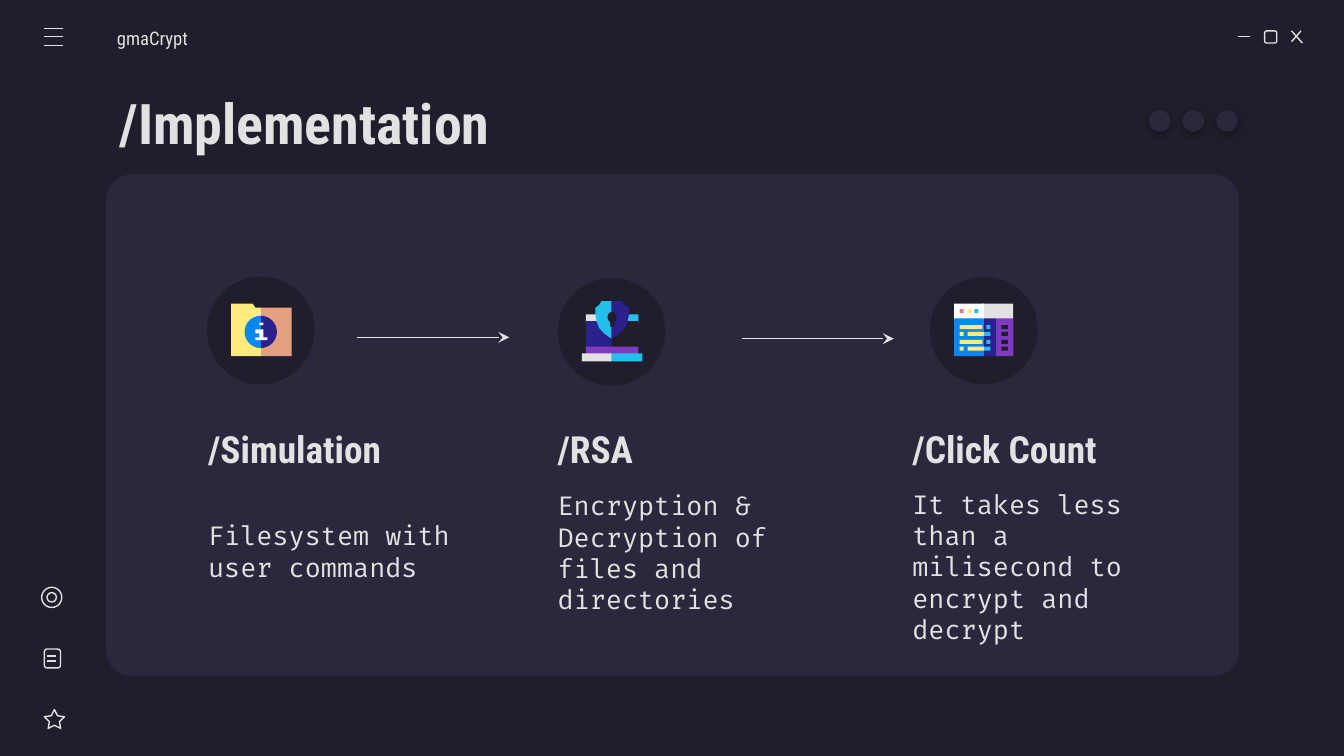
from math import cos, pi, sin

from lxml import etree
from pptx import Presentation
from pptx.dml.color import RGBColor
from pptx.enum.shapes import MSO_CONNECTOR, MSO_SHAPE
from pptx.enum.text import MSO_ANCHOR, MSO_AUTO_SIZE, PP_ALIGN
from pptx.oxml.ns import qn
from pptx.util import Inches, Pt

LINE = MSO_CONNECTOR.STRAIGHT
OVAL, PIE, STAR = MSO_SHAPE.OVAL, MSO_SHAPE.PIE, MSO_SHAPE.STAR_5_POINT
RECT, ROUND = MSO_SHAPE.RECTANGLE, MSO_SHAPE.ROUNDED_RECTANGLE
MID, LEFT, FIXED = MSO_ANCHOR.MIDDLE, PP_ALIGN.LEFT, MSO_AUTO_SIZE.NONE

DARK, PANEL, PALE, WHITE = "1E1E2C", "29283D", "E2E2E2", "FFFFFF"
CYAN, BLUE, NAVY, PURPLE = "24BFEB", "0887F2", "2B218D", "7E3BBE"
YELLOW, PEACH, ROSE = "FFEA7D", "E5A083", "E07A88"
HEAD, CODE = "Roboto Condensed", "Fira Code"

# Wide 16:9 slide
prs = Presentation()
prs.slide_width, prs.slide_height = Inches(10), Inches(10 * 9 / 16)
slide = prs.slides.add_slide(prs.slide_layouts[0])
shapes = slide.shapes
slide.background.fill.solid()
slide.background.fill.fore_color.rgb = RGBColor.from_string(DARK)


def paint(item, fill=None, line=None):
    item.shadow.inherit = False
    if fill:
        item.fill.solid()
        item.fill.fore_color.rgb = RGBColor.from_string(fill)
    else:
        item.fill.background()
    if line:
        item.line.color.rgb = RGBColor.from_string(line)
        item.line.width = Pt(0.75)
    else:
        item.line.fill.background()


def add(kind, box, fill=None, line=None, adj=()):
    item = shapes.add_shape(kind, *[Inches(v) for v in box])
    paint(item, fill, line)
    for i, value in enumerate(adj):
        item.adjustments[i] = value
    return item


# Panel and icon discs
add(ROUND, (0.79, 1.3, 8.43, 3.73), PANEL, adj=[0.05])
for x, y in [(1.54, 2.06), (4.15, 2.07), (6.92, 2.06)]:
    add(OVAL, (x, y, 0.8, 0.8), DARK)
    add(PIE, (x, y, 0.81, 0.81), DARK, adj=[32.63, 97.2]).rotation = 180

# Outline icons: window button, star, note, target
add(ROUND, (9.41, 0.23, 0.09, 0.09), line=PALE)
add(STAR, (0.33, 5.28, 0.15, 0.14), line=PALE, adj=[0.25, 1.05, 1.11])
add(ROUND, (0.33, 4.83, 0.12, 0.14), line=PALE)
add(OVAL, (0.31, 4.37, 0.15, 0.15), line=PALE)
add(OVAL, (0.35, 4.41, 0.07, 0.07), line=PALE)

# Window buttons, menu and note strokes, then the two arrows
strokes = [(9.21, 0.27, 9.3, 0.27), (9.61, 0.23, 9.69, 0.32), (9.68, 0.23, 9.61, 0.31)]
strokes += [(0.33, y, 0.47, y) for y in (0.21, 0.27, 0.34)]
strokes += [(0.35, y, 0.42, y) for y in (4.88, 4.92)]
arrows = [(2.66, 2.51, 3.79, 2.51), (5.52, 2.52, 6.65, 2.52)]
for ends in strokes + arrows:
    link = shapes.add_connector(LINE, *[Inches(v) for v in ends])
    link.line.color.rgb = RGBColor.from_string(PALE)
    link.line.width = Pt(0.75)
    props = link._element.spPr
    if ends in arrows:
        etree.SubElement(props.find(qn("a:ln")), qn("a:tailEnd"), type="stealth")
    etree.SubElement(props, qn("a:effectLst"))

# Laptop and browser blocks: fill, left, top, right, bottom
blocks = [
    (CYAN, 4.54, 2.34, 4.75, 2.41), (PALE, 4.36, 2.34, 4.55, 2.41),
    (DARK, 4.54, 2.39, 4.75, 2.6), (NAVY, 4.36, 2.39, 4.55, 2.6),
    (PURPLE, 4.54, 2.58, 4.75, 2.65), (PURPLE, 4.36, 2.58, 4.55, 2.65),
    (CYAN, 4.54, 2.63, 4.78, 2.69), (PALE, 4.33, 2.63, 4.55, 2.69),
    (PURPLE, 7.39, 2.36, 7.54, 2.65), (NAVY, 7.31, 2.36, 7.41, 2.65),
    (BLUE, 7.1, 2.36, 7.32, 2.65),
    (PALE, 7.31, 2.26, 7.54, 2.37), (WHITE, 7.1, 2.26, 7.32, 2.37),
]
for x, hue in [(7.14, ROSE), (7.2, YELLOW), (7.25, CYAN)]:
    blocks.append((hue, x, 2.3, x + 0.03, 2.33))
long_row = [(YELLOW, 7.14, 7.31), (CYAN, 7.34, 7.37)]
split_row = [(YELLOW, 7.14, 7.17), (YELLOW, 7.2, 7.32), (CYAN, 7.32, 7.37)]
for i, y in enumerate([2.42, 2.47, 2.53, 2.58]):
    row = split_row if i % 2 else long_row
    for hue, x, end in row + [(DARK, 7.45, 7.5)]:
        blocks.append((hue, x, y, end, y + 0.03))
for hue, x, y, end, base in blocks:
    add(RECT, (x, y, end - x, base - y), hue)

# Shield and folder outlines
arc = [(0.12 * sin(pi * i / 16), -0.12 * cos(pi * i / 16)) for i in range(17)]
rim = [(0, 0.28), (0.06, 0.24), (0.1, 0.2), (0.12, 0.15), (0.13, 0.1),
       (0.13, 0.05), (0.1, 0.03), (0.08, 0), (0, 0)]
outlines = [
    (NAVY, [(4.55 + x, 2.24 + y) for x, y in rim]),
    (CYAN, [(4.55 - 0.92 * x, 2.24 + y) for x, y in rim]),
    (PEACH, [(1.94, 2.29), (1.92, 2.47), (1.94, 2.65), (2.17, 2.65), (2.17, 2.29)]),
    (YELLOW, [(1.72, 2.26), (1.72, 2.65), (1.94, 2.65), (1.94, 2.29),
              (1.9, 2.29), (1.88, 2.26)]),
    (NAVY, [(1.94 + x, 2.47 + y) for x, y in arc]),
    (BLUE, [(1.94 - x, 2.47 + y) for x, y in arc]),
    (WHITE, [(1.9, 2.45), (1.9, 2.48), (1.93, 2.48), (1.93, 2.51), (1.9, 2.51),
             (1.9, 2.53), (1.99, 2.53), (1.99, 2.51), (1.96, 2.51), (1.96, 2.45)]),
]
for hue, points in outlines:
    spots = [(Inches(x), Inches(y)) for x, y in points]
    pen = shapes.build_freeform(*spots[0])
    pen.add_line_segments(spots[1:], close=True)
    paint(pen.convert_to_shape(), hue)

# Keyhole and the dot of the i
add(OVAL, (4.52, 2.32, 0.07, 0.08), DARK)
add(RECT, (4.54, 2.38, 0.03, 0.05), DARK)
add(RECT, (1.93, 2.4, 0.03, 0.02), WHITE)

# Three dots with a soft shadow
for x in (8.55, 8.8, 9.05):
    dot = add(OVAL, (x, 0.82, 0.16, 0.16), PANEL)
    glow = etree.SubElement(
        dot._element.spPr.find(qn("a:effectLst")), qn("a:outerShdw"),
        blurRad=str(Pt(4.5)), dist=str(Pt(1.5)), dir="5400000",
        algn="bl", rotWithShape="0")
    tint = etree.SubElement(glow, qn("a:srgbClr"), val="000000")
    etree.SubElement(tint, qn("a:alpha"), val="30000")

# Texts: holder, words, box, size, font, bold, line spacing
title, brand = slide.placeholders
texts = [
    (title, "/Implementation", (0.79, 0.59, 7.88, 0.63), 30, HEAD, True, 1),
    (brand, "gmaCrypt", (0.87, 0.12, 1.17, 0.3), 10, HEAD, False, 1.15),
]
steps = [
    (1.45, "/Simulation", "Filesystem with user commands", 3.67, 2.02, 0.86),
    (4.05, "/RSA", "Encryption & Decryption of files and directories", 3.68, 2.02, 0.86),
    (6.69, "/Click Count", "It takes less than a milisecond to encrypt and decrypt",
     3.63, 1.85, 1.17),
]
for x, name, note, y, w, h in steps:
    texts.append((None, name, (x, 3.09, 2.02, 0.5), 20, HEAD, True, 1))
    texts.append((None, note, (x, y, w, h), 14, CODE, False, 1))

edge = Inches(0.1)
frame_style = {"word_wrap": True, "auto_size": FIXED, "vertical_anchor": MID,
               "margin_left": edge, "margin_right": edge,
               "margin_top": edge, "margin_bottom": edge}
for holder, words, box, size, font, bold, gap in texts:
    box = [Inches(v) for v in box]
    if holder is None:
        holder = shapes.add_textbox(*box)
    holder.left, holder.top, holder.width, holder.height = box
    frame = holder.text_frame
    frame.text = words
    para = frame.paragraphs[0]
    para_style = {"alignment": LEFT, "line_spacing": gap, "space_before": Pt(0)}
    font_style = {"size": Pt(size), "name": font, "bold": bold}
    for target, style in [(frame, frame_style), (para, para_style),
                          (para.runs[0].font, font_style)]:
        for key, value in style.items():
            setattr(target, key, value)
    para.runs[0].font.color.rgb = RGBColor.from_string(PALE)
brand.text_frame.margin_left = 0

prs.save("out.pptx")
